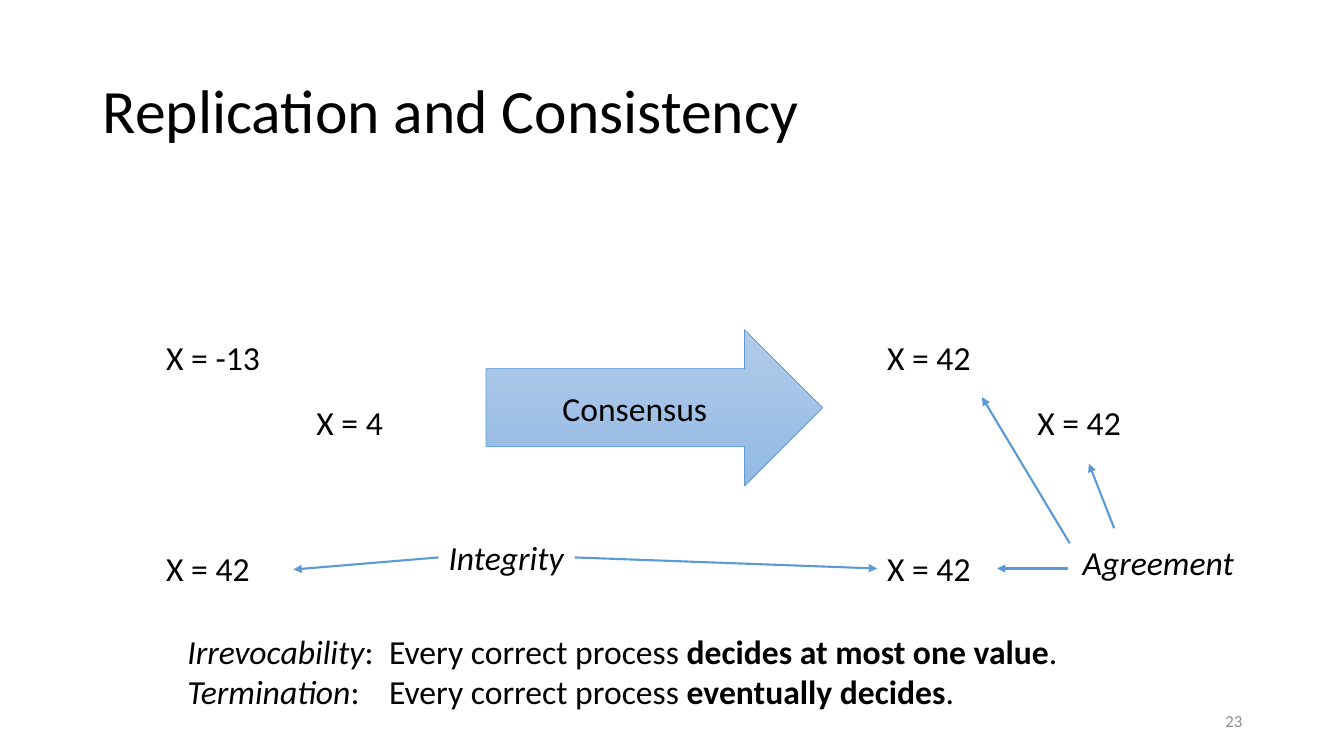
from lxml import etree
from pptx import Presentation
from pptx.dml.color import RGBColor
from pptx.enum.shapes import MSO_CONNECTOR as CONN, MSO_SHAPE as SHAPE
from pptx.enum.text import MSO_ANCHOR as ANCHOR, MSO_AUTO_SIZE as AUTO, PP_ALIGN as ALIGN
from pptx.oxml.ns import qn
from pptx.util import Inches, Pt

BLACK, BLUE, GREY = "000000", "5B9BD5", "8C8C8C"
LEFT, RIGHT = 1, 3


def rgb(value):
    """Turn a hex string into a colour."""
    return RGBColor.from_string(value)


def write(p, text, size=24, color=BLACK, bold=False, italic=False):
    """Add a formatted run to a paragraph."""
    r = p.add_run()
    r.text = text
    font = r.font
    font.name, font.size, font.bold, font.italic = "Calibri", Pt(size), bold, italic
    font.color.rgb = rgb(color)


def add_text(s, box, text="", align=ALIGN.LEFT, anchor=ANCHOR.TOP, wrap=False, **fmt):
    """Place a text box and return it."""
    sp = s.shapes.add_textbox(*map(Inches, box))
    tf = sp.text_frame
    tf.word_wrap = wrap
    tf.auto_size = AUTO.NONE if wrap else AUTO.SHAPE_TO_FIT_TEXT
    tf.vertical_anchor = anchor
    tf.paragraphs[0].alignment = align
    if text:
        write(tf.paragraphs[0], text, **fmt)
    return sp


def add_arrow(s, start, end):
    """Draw a thin arrow from start to end."""
    line = s.shapes.add_connector(CONN.STRAIGHT, *map(Inches, start + end))
    line.line.color.rgb = rgb(BLUE)
    line.line.width = Pt(1.5)
    etree.SubElement(line.line._get_or_add_ln(), qn("a:tailEnd"), type="triangle")
    etree.SubElement(line._element.spPr, qn("a:effectLst"))
    return line


def add_title(s, box, text):
    """Place the slide title."""
    sp = add_text(s, box, text, anchor=ANCHOR.MIDDLE, wrap=True, size=44)
    sp.text_frame.paragraphs[0].line_spacing = 0.9


def add_replicas(s, left, top, values):
    """Place three replica values in a triangle and return their boxes."""
    offsets = [(0, 0), (1.49, 0.65), (0, 2.1)]
    return [add_text(s, (left + dx, top + dy, width, 0.5), f"X = {value}")
            for (dx, dy), (value, width) in zip(offsets, values)]


def add_consensus(s, box):
    """Draw the block arrow between the two groups of replicas."""
    sp = s.shapes.add_shape(SHAPE.RIGHT_ARROW, *map(Inches, box))
    sp.shadow.inherit = False
    sp.fill.gradient()
    sp.fill.gradient_angle = 270
    for stop, color in zip(sp.fill.gradient_stops, ("B1CBE9", "93B9E4")):
        stop.color.rgb = rgb(color)
    sp.line.color.rgb = rgb(BLUE)
    sp.line.width = Pt(0.5)
    tf = sp.text_frame
    tf.vertical_anchor = ANCHOR.MIDDLE
    tf.paragraphs[0].alignment = ALIGN.CENTER
    write(tf.paragraphs[0], "Consensus")


def add_agreement(s, left, top):
    """Label agreement and point to the three decided values."""
    add_text(s, (left, top, 1.73, 0.5), "Agreement", italic=True)
    for (x1, y1), (x2, y2) in [((0.41, -0.09), (0.16, -0.73)),
                               ((-0.03, 0.06), (-0.9, -1.39)),
                               ((-0.05, 0.31), (-0.75, 0.31))]:
        add_arrow(s, (left + x1, top + y1), (left + x2, top + y2))


def add_integrity(s, left, top, decided):
    """Label integrity and point to the proposed and decided value."""
    label = add_text(s, (left, top, 1.35, 0.5), "Integrity", italic=True)
    middle = top + 0.25
    to_decided = add_arrow(s, (left + 1.35, middle), (8.7, 5.64))
    to_decided.begin_connect(label, RIGHT)
    to_decided.end_connect(decided, LEFT)
    to_proposed = add_arrow(s, (left, middle), (left - 1.44, middle + 0.12))
    to_proposed.begin_connect(label, LEFT)


def add_properties(s, box, properties):
    """List the named properties, one a line."""
    tf = add_text(s, box).text_frame
    for i, (name, rule) in enumerate(properties):
        p = tf.add_paragraph() if i else tf.paragraphs[0]
        write(p, name, italic=True)
        write(p, ":\tEvery correct process ")
        write(p, rule, bold=True)
        write(p, ".")


def main():
    """Build and save the slide."""
    prs = Presentation()
    prs.slide_width, prs.slide_height = Inches(13.33), Inches(7.5)
    s = prs.slides.add_slide(prs.slide_layouts[6])
    add_title(s, (0.92, 0.4, 11.5, 1.45), "Replication and Consistency")
    add_replicas(s, 1.55, 3.29, [("-13", 1.14), ("4", 0.87), ("42", 1.04)])
    add_consensus(s, (4.82, 3.27, 3.34, 1.55))
    decided = add_replicas(s, 8.7, 3.29, [("42", 1.04)] * 3)
    add_text(s, (9.42, 6.95, 3, 0.4), "23", align=ALIGN.RIGHT, anchor=ANCHOR.MIDDLE,
             wrap=True, size=12, color=GREY)
    add_agreement(s, 10.64, 5.33)
    add_integrity(s, 4.35, 5.28, decided[-1])
    add_properties(s, (1.76, 6.21, 8.92, 0.91),
                   [("Irrevocability", "decides at most one value"),
                    ("Termination", "eventually decides")])
    prs.save("out.pptx")


if __name__ == "__main__":
    main()
